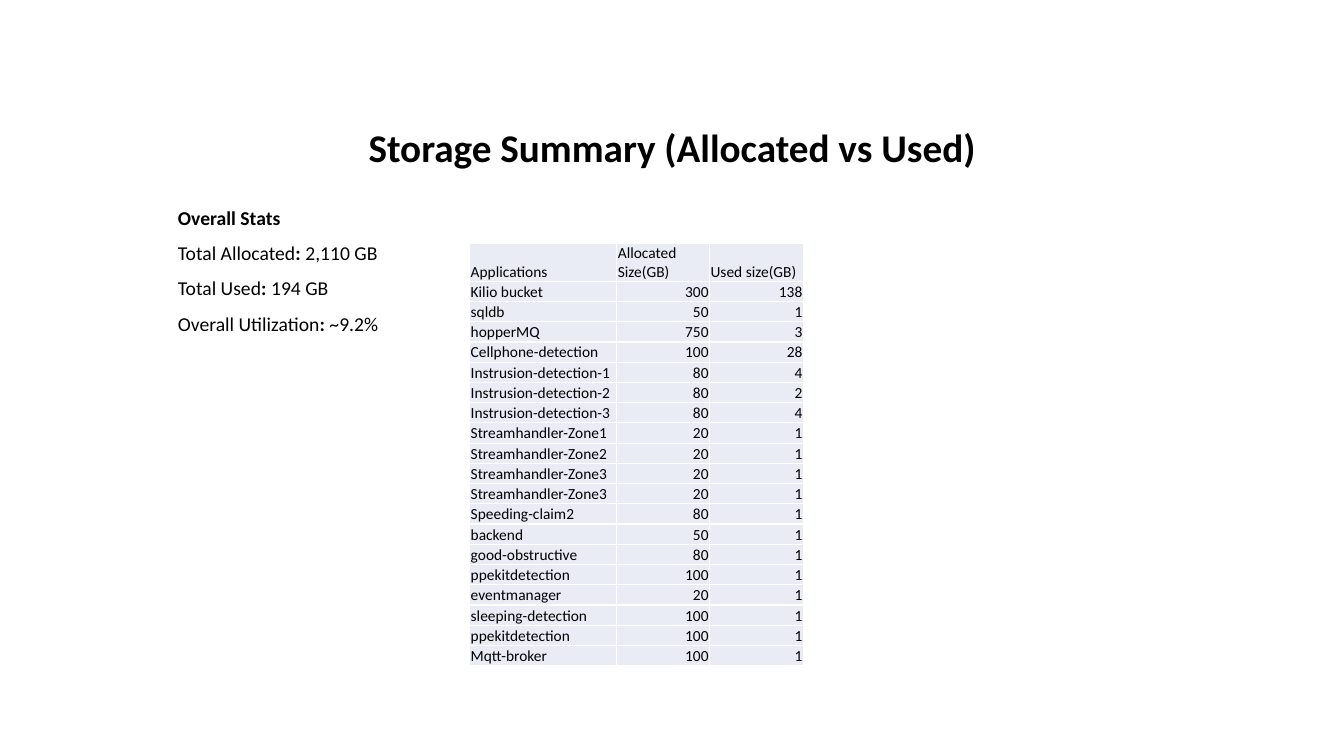
from lxml.etree import SubElement as Sub
from pptx import Presentation
from pptx.dml.color import RGBColor
from pptx.enum.text import MSO_ANCHOR as Anchor, PP_ALIGN as Align
from pptx.oxml.ns import qn
from pptx.util import Inches, Pt

STATS = [("Total Allocated", " 2,110 GB"), ("Total Used", " 194 GB"),
         ("Overall Utilization", " ~9.2%")]
HEAD = ("Applications", "Allocated Size(GB)", "Used size(GB)")
APPS = [
    ("Kilio bucket", 300, 138), ("sqldb", 50, 1), ("hopperMQ", 750, 3),
    ("Cellphone-detection", 100, 28), ("Instrusion-detection-1", 80, 4),
    ("Instrusion-detection-2", 80, 2), ("Instrusion-detection-3", 80, 4),
    ("Streamhandler-Zone1", 20, 1), ("Streamhandler-Zone2", 20, 1),
    ("Streamhandler-Zone3", 20, 1), ("Streamhandler-Zone3", 20, 1),
    ("Speeding-claim2", 80, 1), ("backend", 50, 1),
    ("good-obstructive", 80, 1), ("ppekitdetection", 100, 1),
    ("eventmanager", 20, 1), ("sleeping-detection", 100, 1),
    ("ppekitdetection", 100, 1), ("Mqtt-broker", 100, 1),
]


def color(code):
    return RGBColor.from_string(code)


def write(para, text, size=14, bold=False, ink="000000", face="Calibri"):
    run = para.add_run()
    run.text = text
    font = run.font
    font.name, font.size, font.bold = face, Pt(size), bold
    font.color.rgb = color(ink)


class Board:
    """Holds the slide and its style; lengths are percent of the slide."""
    cell_fill, rule = "E9EBF5", "FFFFFF"

    def __init__(self, deck):
        self.wide, self.high = deck.slide_width, deck.slide_height
        self.slide = deck.slides.add_slide(deck.slide_layouts[6])

    def x(self, share):
        return round(self.wide * share / 100)

    def y(self, share):
        return round(self.high * share / 100)

    def box(self, left, top, width, height, lines, size,
            align=Align.LEFT, anchor=Anchor.TOP, gap=0):
        """Each line is a list of (text, bold) runs."""
        frame = self.slide.shapes.add_textbox(
            self.x(left), self.y(top), self.x(width), self.y(height)).text_frame
        frame.word_wrap, frame.vertical_anchor = True, anchor
        for i, runs in enumerate(lines):
            para = frame.add_paragraph() if i else frame.paragraphs[0]
            para.alignment, para.line_spacing = align, 0.9
            para.space_before = Pt(gap)
            for text, bold in runs:
                write(para, text, size=size, bold=bold)

    def table(self, left, top, widths, head, row, data, size):
        heights = [head] + [row] * (len(data) - 1)
        grid = self.slide.shapes.add_table(
            len(data), len(widths), self.x(left), self.y(top),
            self.x(sum(widths)), self.y(sum(heights))).table
        grid.first_row = grid.horz_banding = False
        for col, width in zip(grid.columns, widths):
            col.width = self.x(width)
        for line, height, values in zip(grid.rows, heights, data):
            line.height = self.y(height)
            for cell, value in zip(line.cells, values):
                self.cell(cell, value, size)

    def cell(self, cell, value, size):
        cell.margin_left = cell.margin_right = cell.margin_top = Inches(0.01)
        cell.margin_bottom = 0
        cell.vertical_anchor = Anchor.BOTTOM
        self.edge(cell)
        cell.fill.solid()
        cell.fill.fore_color.rgb = color(self.cell_fill)
        para = cell.text_frame.paragraphs[0]
        para.alignment = Align.RIGHT if isinstance(value, int) else Align.LEFT
        write(para, str(value), size=size)

    def edge(self, cell):
        props = cell._tc.get_or_add_tcPr()
        for side in "LRTB":
            line = Sub(props, qn(f"a:ln{side}"), w=str(Pt(1)))
            fill = Sub(line, qn("a:solidFill"))
            Sub(fill, qn("a:srgbClr"), val=self.rule)


def main():
    deck = Presentation()
    deck.slide_width, deck.slide_height = Inches(13.33), Inches(7.5)
    board = Board(deck)

    # Title
    board.box(12.5, 16.4, 75, 6.93,
              [[("Storage Summary (Allocated vs Used)", True)]],
              size=28, align=Align.CENTER, anchor=Anchor.BOTTOM)

    # Overall figures
    lines = [[("Overall Stats", True)]]
    lines += [[(name, False), (":", True), (value, False)]
              for name, value in STATS]
    board.box(12.5, 26.93, 75.9, 64, lines, size=14, gap=10)

    # Storage by application
    board.table(34.95, 32.13, (10.95, 6.9, 6.98), head=5.07, row=2.68,
                data=[HEAD] + APPS, size=11)

    deck.save("out.pptx")


if __name__ == "__main__":
    main()
